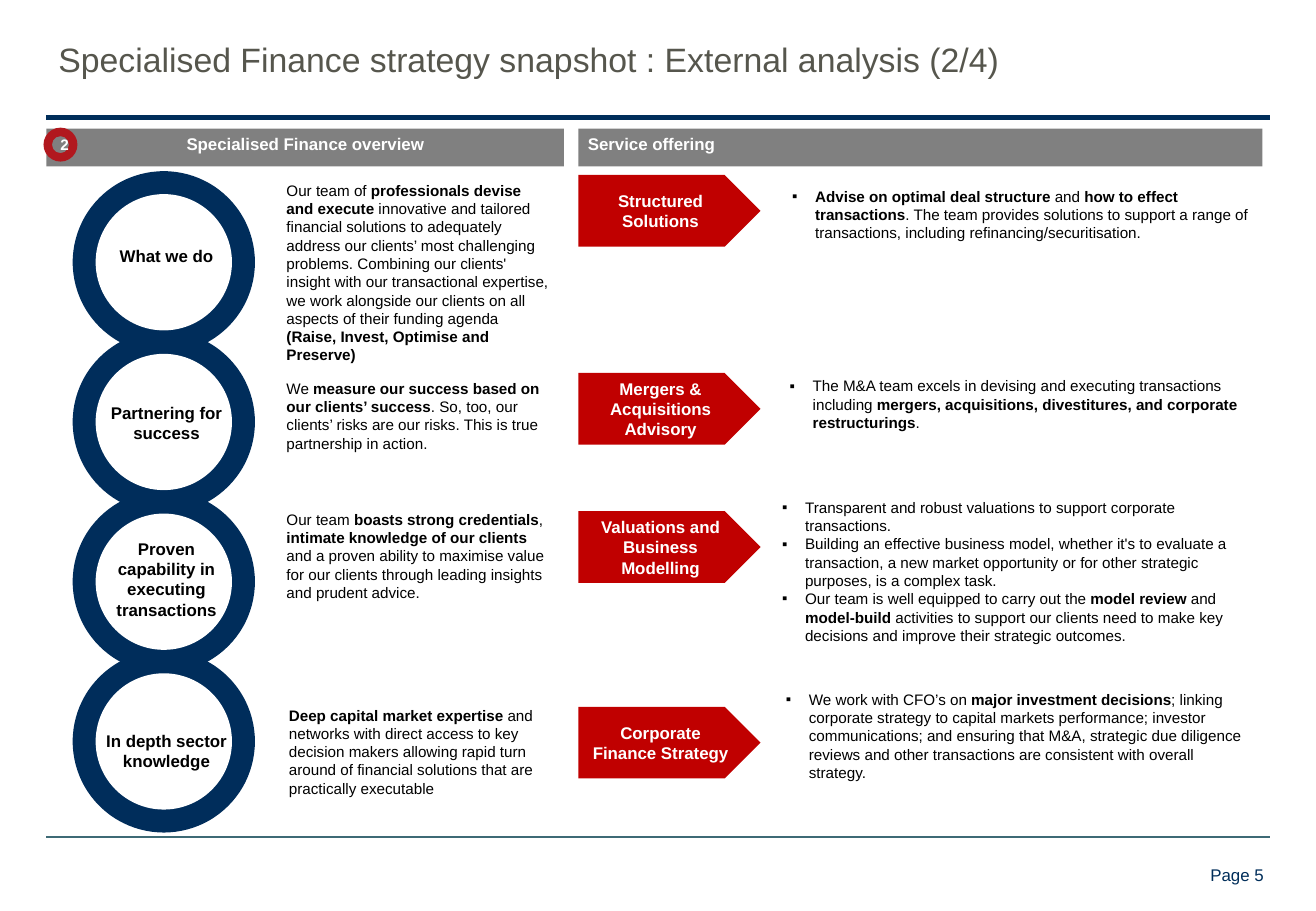
from lxml import etree
from pptx import Presentation
from pptx import util as u
from pptx.dml.color import RGBColor
from pptx.enum import shapes, text
from pptx.oxml.ns import qn

NAVY, RED, GREY, WHITE, BLACK = "002D5B", "C00000", "808080", "FFFFFF", "000000"
LEFT, CENTER = text.PP_ALIGN.LEFT, text.PP_ALIGN.CENTER
TOP, MIDDLE = text.MSO_ANCHOR.TOP, text.MSO_ANCHOR.MIDDLE
OVAL, BAR = shapes.MSO_SHAPE.OVAL, shapes.MSO_SHAPE.RECTANGLE
PENTAGON, DONUT = shapes.MSO_SHAPE.PENTAGON, shapes.MSO_SHAPE.DONUT

RING, RIM, RING_PITCH = 3.81, 0.48, 3.34
COLUMN_TOP = 2.69

OVERVIEW = [
    ("What we do", 5.0, 5.74, 3.66,
     "Our team of **professionals devise and execute **innovative and tailored financial "
     "solutions to adequately address our clients’ most challenging problems. Combining our "
     "clients' insight with our transactional expertise, we work alongside our clients on all "
     "aspects of their funding agenda **(Raise, Invest, Optimise and Preserve)"),
    ("Partnering for success", 8.28, 5.74, 7.8,
     "We **measure our success based on our clients’ success**. So, too, our clients’ risks "
     "are our risks. This is true partnership in action."),
    ("Proven capability in executing transactions", 11.13, 5.74, 10.54,
     "Our team **boasts strong credentials**, **intimate knowledge of our clients **and a "
     "proven ability to maximise value for our clients through leading insights and prudent "
     "advice."),
    ("In depth sector knowledge", 15.14, 5.79, 14.63,
     "**Deep capital market expertise **and networks with direct access to key decision makers "
     "allowing rapid turn around of financial solutions that are practically executable"),
]

SERVICES = [
    ("Structured Solutions", 3.66, (16.31, 3.78, 10.08, 1.42),
     ["**Advise on optimal deal structure **and **how to effect transactions**. The team "
      "provides solutions to support a range of transactions, including "
      "refinancing/securitisation."]),
    ("Mergers & Acquisitions Advisory", 7.8, (16.26, 7.75, 10.13, 1.42),
     ["The M&A team excels in devising and executing transactions including **mergers, "
      "acquisitions, divestitures, and corporate restructurings**."]),
    ("Valuations and Business Modelling", 10.69, (16.1, 10.29, 10.29, 3.33),
     ["Transparent and robust valuations to support corporate transactions.",
      "Building an effective business model, whether it's to evaluate a transaction, a new "
      "market opportunity or for other strategic purposes, is a complex task.",
      "Our team is well equipped to carry out the **model review **and **model-build** "
      "activities to support our clients need to make key decisions and improve their "
      "strategic outcomes."]),
    ("Corporate Finance Strategy", 14.78, (16.18, 14.3, 10.08, 2.18),
     ["We work with CFO’s on **major investment decisions**; linking corporate strategy to "
      "capital markets performance; investor communications; and ensuring that M&A, strategic "
      "due diligence reviews and other transactions are consistent with overall strategy."]),
]


def color(value):
    """Turn a hex string into a colour."""
    return RGBColor.from_string(value)


def add_bullet(paragraph):
    """Give a paragraph a hanging square bullet."""
    properties = paragraph._p.get_or_add_pPr()
    properties.set("marL", str(u.Cm(0.48)))
    properties.set("indent", str(-u.Cm(0.48)))
    etree.SubElement(properties, qn("a:buFont")).set("typeface", "Arial")
    etree.SubElement(properties, qn("a:buChar")).set("char", "▪")


def write(frame, *paragraphs, size=10, ink=BLACK, bold=False, align=LEFT, anchor=TOP,
          bullet=False, wrap=True, margins=(0.25, 0.13), spacing=None):
    """Fill a text frame; double asterisks switch bold on and off."""
    frame.word_wrap, frame.vertical_anchor = wrap, anchor
    frame.margin_left = frame.margin_right = u.Cm(margins[0])
    frame.margin_top = frame.margin_bottom = u.Cm(margins[1])
    for index, wording in enumerate(paragraphs):
        paragraph = frame.add_paragraph() if index else frame.paragraphs[0]
        paragraph.alignment = align
        if spacing:
            paragraph.line_spacing = spacing
        if bullet:
            add_bullet(paragraph)
        for part, words in enumerate(wording.split("**")):
            if words:
                run = paragraph.add_run()
                run.text = words
                run.font.name, run.font.size = "Arial", u.Pt(size)
                run.font.bold = bold or part % 2 == 1
                run.font.color.rgb = color(ink)


def add_text(slide, box, *paragraphs, **style):
    """Place a text box."""
    write(slide.shapes.add_textbox(*map(u.Cm, box)).text_frame, *paragraphs, **style)


def add_block(slide, kind, box, fill, *paragraphs, **style):
    """Place a filled shape without outline, with optional text."""
    block = slide.shapes.add_shape(kind, *map(u.Cm, box))
    block.shadow.inherit = False
    block.fill.solid()
    block.fill.fore_color.rgb = color(fill)
    block.line.fill.background()
    write(block.text_frame, *paragraphs, **style)


def add_rule(slide, left, right, y, ink, weight):
    """Draw a horizontal rule."""
    rule = slide.shapes.add_connector(shapes.MSO_CONNECTOR.STRAIGHT,
                                      u.Cm(left), u.Cm(y), u.Cm(right), u.Cm(y))
    rule.line.color.rgb = color(ink)
    rule.line.width = u.Pt(weight)
    etree.SubElement(rule._element.spPr, qn("a:effectLst"))


def add_frame(slide, left, right):
    """Place the title, the two rules and the page number."""
    add_text(slide, (left, 0.38, right - left, 1.83),
             "Specialised Finance strategy snapshot : External analysis (2/4)",
             size=20, ink="56564D", anchor=MIDDLE, spacing=0.9)
    add_rule(slide, left, right, 2.46, "002E5A", 3)
    add_rule(slide, left, right, 17.5, "3E6A75", 1)
    add_text(slide, (right - 1.39, 17.83, 1.42, 0.94), "Page 5", ink="002E5A",
             align=CENTER, anchor=MIDDLE, wrap=False, margins=(0, 0))


def add_header(slide, left, top, width, wording, align):
    """Place the grey heading of a column."""
    add_block(slide, BAR, (left, top, width, 0.79), GREY, wording, ink=WHITE, bold=True,
              align=align, margins=(0.2, 0.1))


def add_overview(slide, left, top, width):
    """Place the column of linked rings with their descriptions."""
    add_header(slide, left, top, width, "Specialised Finance overview", CENTER)
    ring_left, hole = left + 0.55, RING - 2 * RIM
    for index, (label, label_top, about_left, about_top, about) in enumerate(OVERVIEW):
        ring_top = top + 0.89 + index * RING_PITCH
        add_block(slide, OVAL, (ring_left, ring_top, RING, RING), NAVY)
        add_block(slide, OVAL, (ring_left + RIM, ring_top + RIM, hole, hole), WHITE)
        add_text(slide, (left + 0.96, label_top, 3.1, 1.12), label, bold=True, align=CENTER)
        add_text(slide, (about_left, about_top, left + width - about_left, 2.18),
                 about, size=9)
    add_block(slide, DONUT, (left - 0.06, top - 0.02, 0.71, 0.71), "B1181E", "2",
              size=9, ink=WHITE, bold=True, align=CENTER, anchor=MIDDLE)


def add_services(slide, left, top, width):
    """Place the column of service arrows with their bullets."""
    add_header(slide, left, top, width, "Service offering", LEFT)
    for service, arrow_top, details_box, details in SERVICES:
        add_block(slide, PENTAGON, (left, arrow_top, 3.81, 1.5), RED, service,
                  ink=WHITE, bold=True, align=CENTER, anchor=MIDDLE)
        add_text(slide, details_box, *details, size=9, bullet=True)


def main():
    """Build and save the slide."""
    deck = Presentation()
    deck.slide_width, deck.slide_height = u.Cm(27.51), u.Cm(19.05)
    slide = deck.slides.add_slide(deck.slide_layouts[6])
    add_frame(slide, 0.97, 26.54)
    add_overview(slide, 0.97, COLUMN_TOP, 10.82)
    add_services(slide, 12.09, COLUMN_TOP, 14.3)
    deck.save("out.pptx")


if __name__ == "__main__":
    main()
